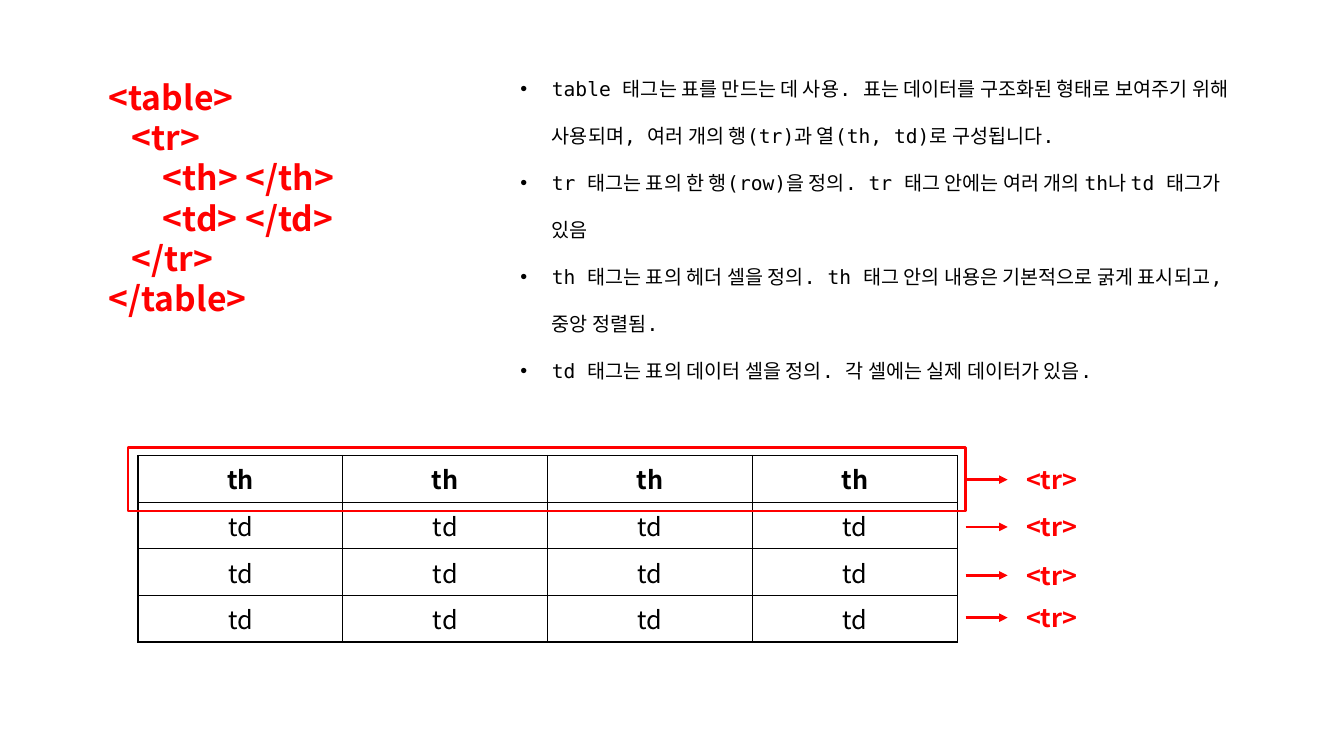
from lxml import etree
from pptx import Presentation
from pptx.dml import color
from pptx.enum import shapes, text
from pptx.oxml import ns
from pptx.util import Pt

COLORS = {"tag": "FF0000", "ink": "000000"}
SANS = "Noto Sans CJK KR"
MONO = "DejaVu Sans Mono"

CODE = [
    (0, "<table>"),
    (16.4, "<tr>"),
    (38.6, "<th> </th>"),
    (38.6, "<td> </td>"),
    (16.4, "</tr>"),
    (0, "</table>"),
]
NOTES = [
    "table 태그는 표를 만드는 데 사용. 표는 데이터를 구조화된 형태로 보여주기 위해 사용되며, 여러 개의 행(tr)과 열(th, td)로 구성됩니다.",
    "tr 태그는 표의 한 행(row)을 정의. tr 태그 안에는 여러 개의 th나 td 태그가 있음",
    "th 태그는 표의 헤더 셀을 정의. th 태그 안의 내용은 기본적으로 굵게 표시되고, 중앙 정렬됨.",
    "td 태그는 표의 데이터 셀을 정의. 각 셀에는 실제 데이터가 있음.",
]
ROW_TAGS = ["th", "td", "td", "td"]
COLUMN_COUNT = 4
ARROW_OFFSETS = [17.3, 51.1, 85.7, 115.9]


def rgb(name):
    return color.RGBColor.from_string(COLORS[name])


def add_node(parent, tag, **attributes):
    return etree.SubElement(parent, ns.qn(tag), attributes)


def format_para(para, size, ink, bold=False, latin=SANS):
    for span in para.runs:
        span.font.size = Pt(size)
        span.font.bold = bold
        span.font.name = latin
        span.font.color.rgb = rgb(ink)
        add_node(span.font._element, "a:ea", typeface=SANS)


def place(shape, box):
    shape.left, shape.top, shape.width, shape.height = (Pt(side) for side in box)


def fill_placeholder(shape, box, lines):
    place(shape, box)
    frame = shape.text_frame
    frame.text = "\n".join(lines)
    frame.word_wrap = True
    frame.auto_size = text.MSO_AUTO_SIZE.NONE
    frame.vertical_anchor = text.MSO_ANCHOR.TOP
    for para in frame.paragraphs:
        para.alignment = text.PP_ALIGN.LEFT
        para.space_before = Pt(0)
    return frame.paragraphs


def build_code(page, box):
    paras = fill_placeholder(page.shapes.title, box, [line for _, line in CODE])
    for para, (indent, _) in zip(paras, CODE):
        properties = para._p.get_or_add_pPr()
        properties.set("marL", str(Pt(indent)))
        properties.set("indent", "0")
        format_para(para, 24, "tag", bold=True)


def build_notes(page, box):
    for para in fill_placeholder(page.placeholders[1], box, NOTES):
        para.line_spacing = 2.0
        properties = para._p.get_or_add_pPr()
        properties.set("marL", str(Pt(22.5)))
        properties.set("indent", str(-Pt(22.5)))
        add_node(properties, "a:buFont", typeface="Arial")
        add_node(properties, "a:buChar", char="•")
        format_para(para, 14, "ink", latin=MONO)


def outline_cell(cell):
    properties = cell._tc.get_or_add_tcPr()
    for side in ("a:lnL", "a:lnR", "a:lnT", "a:lnB"):
        border = add_node(properties, side, w=str(Pt(1)))
        fill = add_node(border, "a:solidFill")
        add_node(fill, "a:srgbClr", val=COLORS["ink"])


def build_table(page, box):
    frame = page.shapes.add_table(
        len(ROW_TAGS), COLUMN_COUNT, *(Pt(side) for side in box)
    )
    table = frame.table
    table.first_row = table.horz_banding = False
    for column in table.columns:
        column.width = Pt(box[2] / COLUMN_COUNT)
    for row, tag in zip(table.rows, ROW_TAGS):
        row.height = Pt(box[3] / len(ROW_TAGS))
        for cell in row.cells:
            outline_cell(cell)
            cell.fill.background()
            cell.vertical_anchor = text.MSO_ANCHOR.MIDDLE
            cell.text_frame.text = tag
            para = cell.text_frame.paragraphs[0]
            para.alignment = text.PP_ALIGN.CENTER
            format_para(para, 18, "ink", bold=tag == "th")


def build_header_frame(page, box):
    frame = page.shapes.add_shape(
        shapes.MSO_SHAPE.RECTANGLE, *(Pt(side) for side in box)
    )
    frame.shadow.inherit = False
    frame.fill.background()
    frame.line.color.rgb = rgb("tag")
    frame.line.width = Pt(1.75)


def build_row_label(page, box):
    left, top, width, height = box
    middle = top + height / 2
    arrow = page.shapes.add_connector(
        shapes.MSO_CONNECTOR.STRAIGHT, Pt(left), Pt(middle), Pt(left + 30), Pt(middle)
    )
    arrow.line.color.rgb = rgb("tag")
    arrow.line.width = Pt(2)
    add_node(arrow.line._get_or_add_ln(), "a:tailEnd", type="triangle")
    add_node(arrow._element.spPr, "a:effectLst")

    label = page.shapes.add_textbox(Pt(left + 36), Pt(top), Pt(width - 36), Pt(height))
    label.text_frame.word_wrap = True
    label.text_frame.text = "<tr>"
    format_para(label.text_frame.paragraphs[0], 18, "tag", bold=True)


def build_row_labels(page, box):
    left, top, width, _ = box
    for offset in ARROW_OFFSETS:
        build_row_label(page, (left, top + offset - 14.6, width, 29))


def main():
    deck = Presentation()
    deck.slide_width, deck.slide_height = Pt(960), Pt(540)
    page = deck.slides.add_slide(deck.slide_layouts[1])
    build_code(page, (70.5, 51, 274.5, 181.5))
    build_notes(page, (364.5, 34.5, 529, 205))
    build_table(page, (98.6, 325.4, 585.3, 131.6))
    build_header_frame(page, (91.6, 319.5, 598.2, 45.5))
    build_row_labels(page, (689.8, 325.4, 97.2, 131.6))
    deck.save("out.pptx")


if __name__ == "__main__":
    main()
